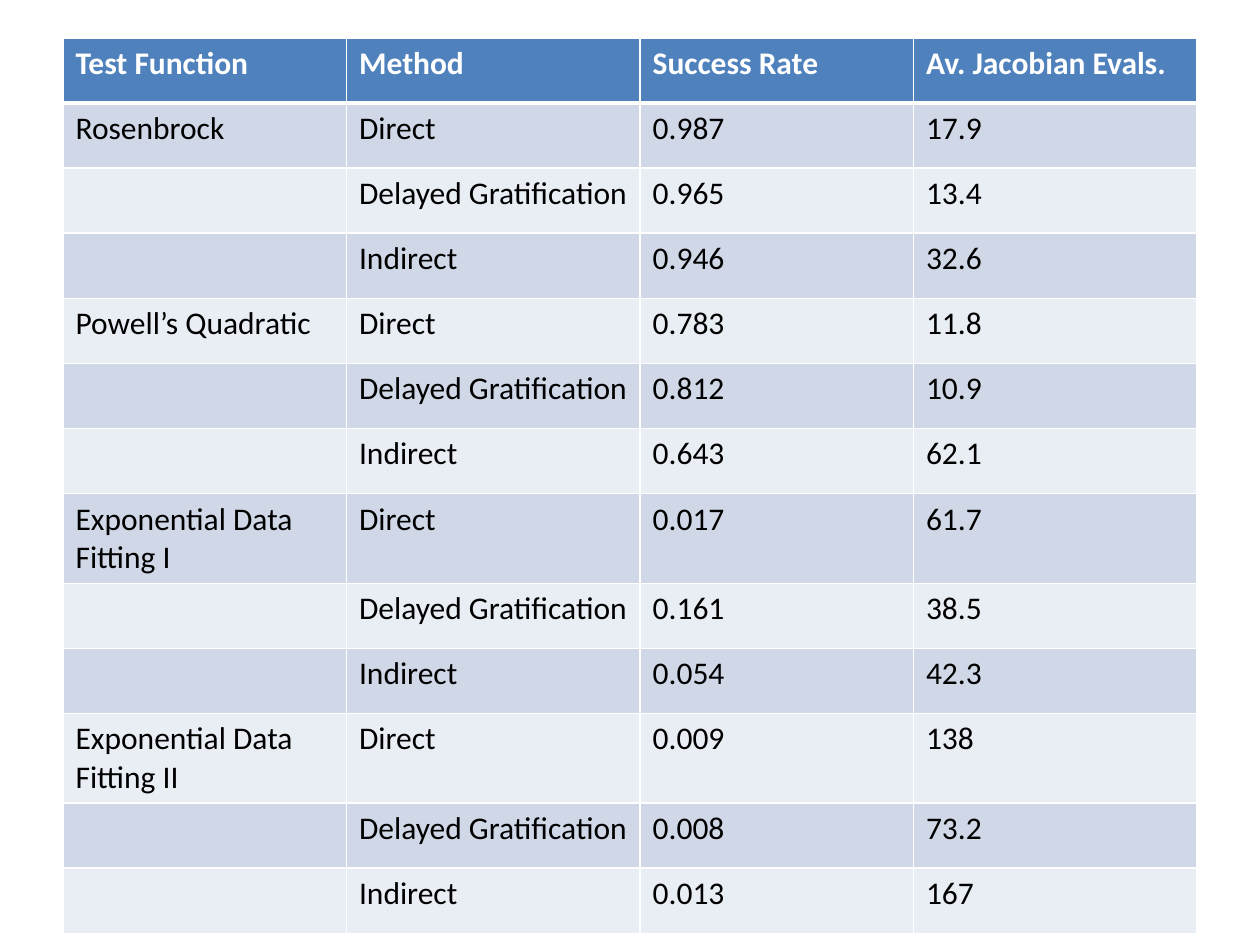
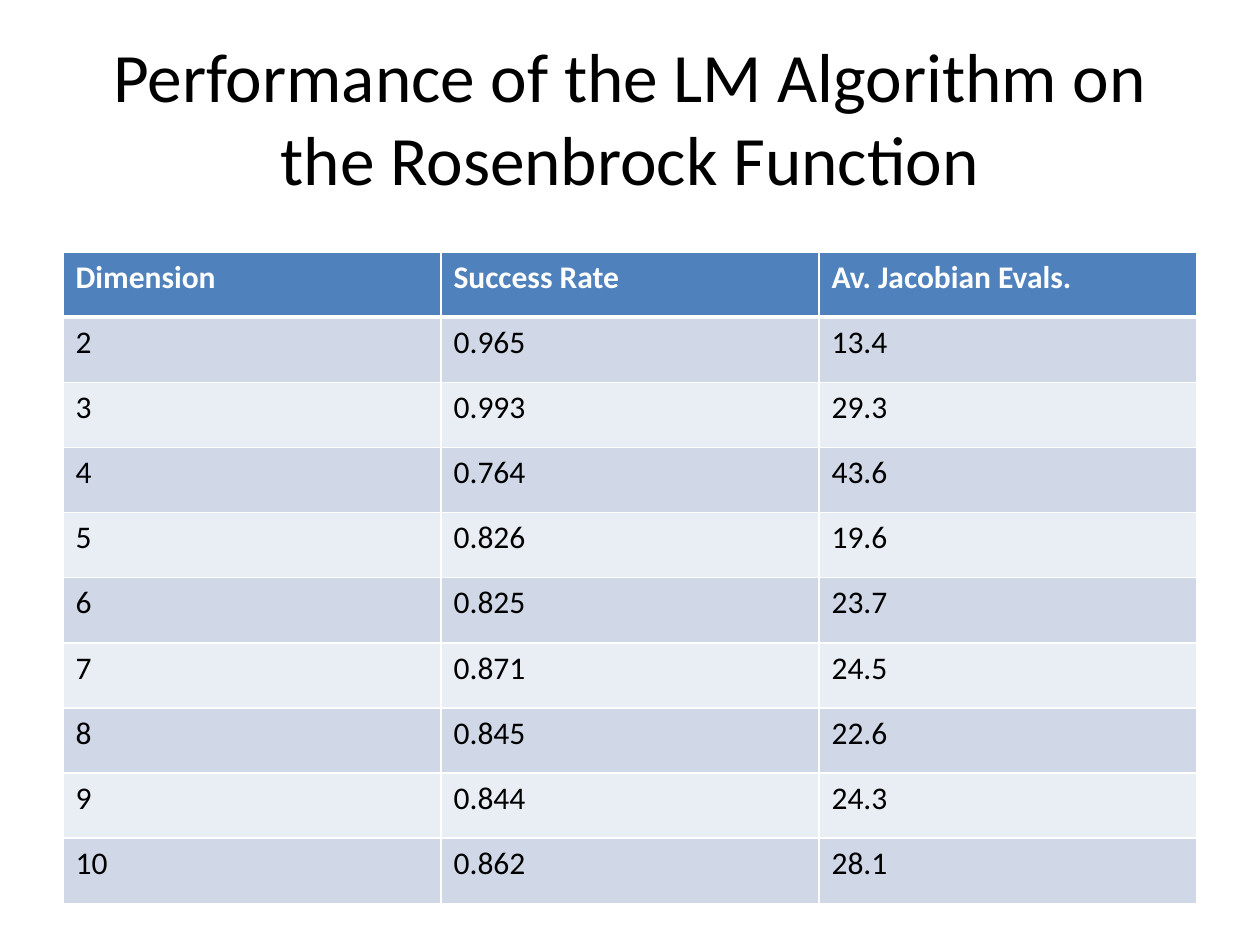
from lxml import etree
from pptx import Presentation
from pptx.dml.color import RGBColor
from pptx.enum.text import MSO_ANCHOR, MSO_AUTO_SIZE, PP_ALIGN
from pptx.oxml.ns import qn
from pptx.util import Inches, Pt

MIDDLE = MSO_ANCHOR.MIDDLE
CENTER = PP_ALIGN.CENTER
NO_AUTOFIT = MSO_AUTO_SIZE.NONE
TITLE_ONLY, BLANK = 5, 6

FONT = "Calibri"
WHITE, BLACK = "FFFFFF", "000000"
HEADER_FILL = "4F81BD"
BAND_FILLS = ("D0D8E8", "E9EDF4")
LEFT, TOP, WIDTH = 0.5, 0.3, 9
ROW_HEIGHT = 5.17 / 10
TITLE_SIZE, CELL_SIZE = 39.6, 18
THIN, THICK = 1, 3

METHODS = ("Direct", "Delayed Gratification", "Indirect")
FUNCTION_RESULTS = {
    "Rosenbrock": (("0.987", "17.9"), ("0.965", "13.4"), ("0.946", "32.6")),
    "Powell’s Quadratic": (("0.783", "11.8"), ("0.812", "10.9"), ("0.643", "62.1")),
    "Exponential Data Fitting I": (("0.017", "61.7"), ("0.161", "38.5"), ("0.054", "42.3")),
    "Exponential Data Fitting II": (("0.009", "138"), ("0.008", "73.2"), ("0.013", "167")),
}
DIMENSION_RESULTS = (
    ("2", "0.965", "13.4"),
    ("3", "0.993", "29.3"),
    ("4", "0.764", "43.6"),
    ("5", "0.826", "19.6"),
    ("6", "0.825", "23.7"),
    ("7", "0.871", "24.5"),
    ("8", "0.845", "22.6"),
    ("9", "0.844", "24.3"),
    ("10", "0.862", "28.1"),
)


def color(hex_string):
    return RGBColor.from_string(hex_string)


def format_text(text_frame, size, text_color, bold=False):
    for paragraph in text_frame.paragraphs:
        for run in paragraph.runs:
            run.font.name = FONT
            run.font.size = Pt(size)
            run.font.bold = bold
            run.font.color.rgb = color(text_color)


def set_borders(cell, top, bottom):
    """Draw white cell borders; top and bottom are widths in points."""
    properties = cell._tc.get_or_add_tcPr()
    widths = (("a:lnL", THIN), ("a:lnR", THIN), ("a:lnT", top), ("a:lnB", bottom))
    for position, (tag, width) in enumerate(widths):
        line = etree.Element(qn(tag), w=str(Pt(width)))
        fill = etree.SubElement(line, qn("a:solidFill"))
        etree.SubElement(fill, qn("a:srgbClr"), val=WHITE)
        properties.insert(position, line)


def style_cell(cell, text, row_index):
    is_header = row_index == 0
    cell.text = text
    format_text(cell.text_frame, CELL_SIZE, WHITE if is_header else BLACK, is_header)
    cell.fill.solid()
    cell.fill.fore_color.rgb = color(HEADER_FILL if is_header else BAND_FILLS[(row_index - 1) % 2])
    set_borders(cell, THICK if row_index == 1 else THIN, THICK if is_header else THIN)


def add_results_table(slide, left, top, column_widths, rows):
    frame = slide.shapes.add_table(
        len(rows), len(column_widths), Inches(left), Inches(top),
        Inches(sum(column_widths)), Inches(ROW_HEIGHT * len(rows)))
    table = frame.table
    for column, width in zip(table.columns, column_widths):
        column.width = Inches(width)
    for row_index, row in enumerate(rows):
        for column_index, text in enumerate(row):
            style_cell(table.cell(row_index, column_index), text, row_index)


def set_title(slide, text, left, top, width, height):
    title = slide.shapes.title
    title.left, title.top = Inches(left), Inches(top)
    title.width, title.height = Inches(width), Inches(height)
    text_frame = title.text_frame
    text_frame.text = text
    text_frame.word_wrap = True
    text_frame.auto_size = NO_AUTOFIT
    text_frame.vertical_anchor = MIDDLE
    text_frame.paragraphs[0].alignment = CENTER
    format_text(text_frame, TITLE_SIZE, BLACK)


def add_method_slide(presentation):
    slide = presentation.slides.add_slide(presentation.slide_layouts[BLANK])
    rows = [("Test Function", "Method", "Success Rate", "Av. Jacobian Evals.")]
    for function_name, results in FUNCTION_RESULTS.items():
        labels = (function_name, "", "")
        for label, method, result in zip(labels, METHODS, results):
            rows.append((label, method, *result))
    add_results_table(slide, LEFT, TOP, (2.25, 2.33, 2.17, 2.25), rows)


def add_dimension_slide(presentation):
    slide = presentation.slides.add_slide(presentation.slide_layouts[TITLE_ONLY])
    set_title(slide, "Performance of the LM Algorithm on the Rosenbrock Function",
              LEFT, TOP, WIDTH, 1.25)
    header = ("Dimension", "Success Rate", "Av. Jacobian Evals.")
    column_widths = [WIDTH / len(header)] * len(header)
    add_results_table(slide, LEFT, 2, column_widths, (header, *DIMENSION_RESULTS))


def main():
    presentation = Presentation()
    presentation.slide_width = Inches(10)
    presentation.slide_height = Inches(7.5)
    add_method_slide(presentation)
    add_dimension_slide(presentation)
    presentation.save("out.pptx")


if __name__ == "__main__":
    main()
